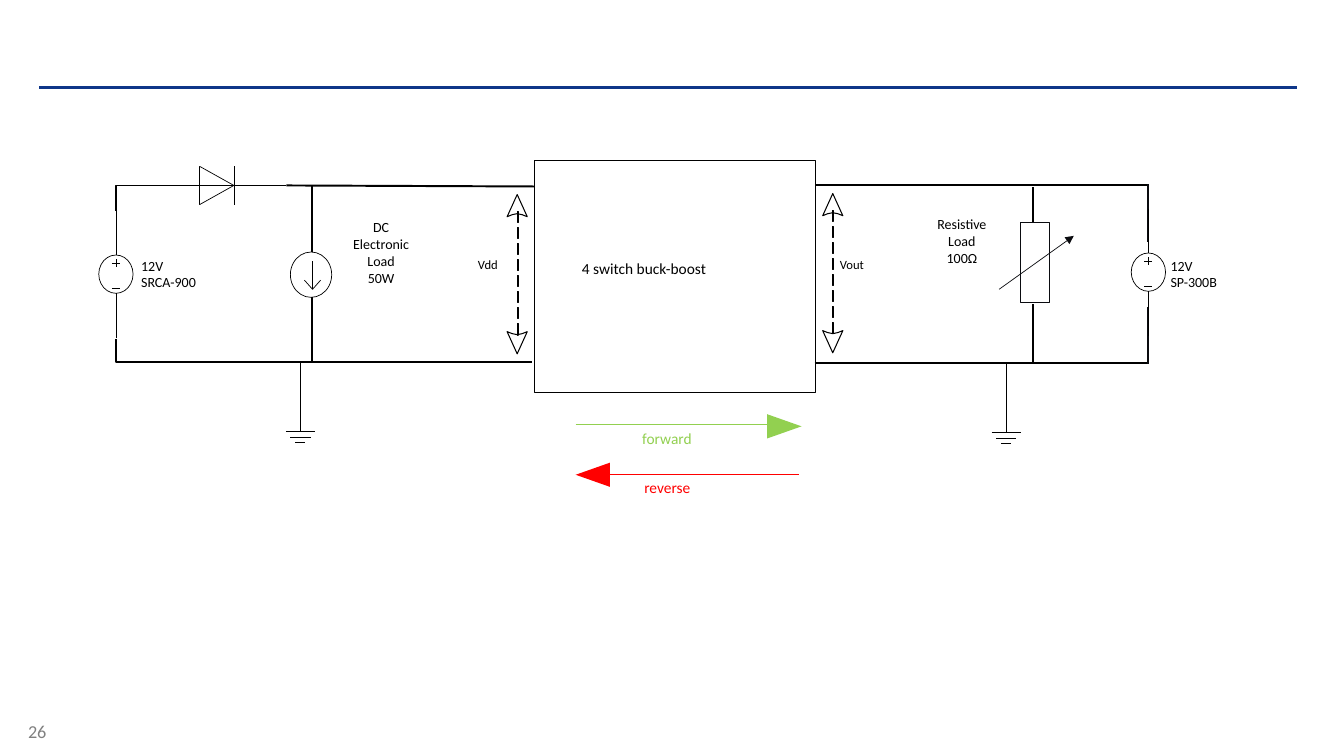
from typing import NamedTuple

from lxml import etree
from pptx import Presentation, util as u
from pptx.dml.color import RGBColor
from pptx.enum import shapes, text
from pptx.oxml.ns import qn

Point = tuple[float, float]
Path = list[Point]

BLACK, INK, NAVY, GREY = "000000", "0A0B0F", "0E3689", "808080"
GREEN, RED = "92D050", "FF0000"
THIN, WIRE = 0.5, 1.38


class Label(NamedTuple):
    left: float
    top: float
    width: float
    height: float
    lines: list[str]
    size: float = 10
    color: str = BLACK
    centered: bool = False
    inset: float = 0


class Wire(NamedTuple):
    start: Point
    end: Point
    width: float = WIRE
    color: str = BLACK
    arrow: bool = False


presentation = Presentation()
presentation.slide_width = u.Inches(13.33)
presentation.slide_height = u.Inches(7.5)
slide = presentation.slides.add_slide(presentation.slide_layouts[6])


def rgb(color: str) -> RGBColor:
    return RGBColor.from_string(color)


def draw_wire(wire: Wire) -> None:
    line = slide.shapes.add_connector(
        shapes.MSO_CONNECTOR.STRAIGHT, *map(u.Inches, wire.start + wire.end))
    line.line.color.rgb = rgb(wire.color)
    line.line.width = u.Pt(wire.width)
    if wire.arrow:
        etree.SubElement(line.line._get_or_add_ln(), qn("a:tailEnd"), type="triangle")
    etree.SubElement(line._element.spPr, qn("a:effectLst"))


def finish(shape, width: float, color: str = BLACK, fill: str = "") -> None:
    """Give an outline, or a plain fill without outline when one is named."""
    shape.shadow.inherit = False
    if fill:
        shape.fill.solid()
        shape.fill.fore_color.rgb = rgb(fill)
        shape.line.fill.background()
    else:
        shape.fill.background()
        shape.line.color.rgb = rgb(color)
        shape.line.width = u.Pt(width)


def draw_outline(paths: list[Path], width: float = THIN, closed: bool = False,
                 fill: str = "") -> None:
    """Draw several pen strokes as one freeform."""
    points = [[(u.Inches(x), u.Inches(y)) for x, y in path] for path in paths]
    builder = slide.shapes.build_freeform(*points[0][0])
    for index, (first, *rest) in enumerate(points):
        if index:
            builder.move_to(*first)
        builder.add_line_segments(rest, close=closed)
    finish(builder.convert_to_shape(), width, fill=fill)


def draw_preset(kind, left: float, top: float, width: float, height: float,
                line_width: float = THIN, color: str = BLACK) -> None:
    shape = slide.shapes.add_shape(kind, *map(u.Inches, (left, top, width, height)))
    finish(shape, line_width, color)


def draw_label(label: Label) -> None:
    box = slide.shapes.add_textbox(*map(u.Inches, label[:4]))
    frame = box.text_frame
    frame.word_wrap = True
    frame.margin_left = frame.margin_right = u.Inches(label.inset)
    frame.margin_top = frame.margin_bottom = u.Inches(label.inset / 2)
    frame.text = "\n".join(label.lines)
    for paragraph in frame.paragraphs:
        paragraph.font.name = "Calibri"
        paragraph.font.size = u.Pt(label.size)
        paragraph.font.color.rgb = rgb(label.color)
        if label.centered:
            paragraph.alignment = text.PP_ALIGN.CENTER


def draw_voltage_source(x: float, top: float) -> None:
    draw_preset(shapes.MSO_SHAPE.OVAL, x - 0.17, top + 0.44, 0.34, 0.38)
    draw_outline([
        [(x, top), (x, top + 0.44)],
        [(x, top + 0.82), (x, top + 1.26)],
        [(x, top + 0.48), (x, top + 0.56)],
        [(x - 0.04, top + 0.52), (x + 0.04, top + 0.52)],
        [(x - 0.04, top + 0.77), (x + 0.04, top + 0.77)],
    ])


def draw_ground(x: float, top: float) -> None:
    bars = [(0.145, 0.69), (0.1, 0.75), (0.05, 0.8)]
    draw_outline([[(x, top), (x, top + 0.69)]]
                 + [[(x - half, top + y), (x + half, top + y)] for half, y in bars], 1)


def draw_voltage_span(x: float, top: float) -> None:
    """Draw a dashed double arrow with hollow, notched heads."""
    dash_tops = [top + 0.16 + 0.16 * index for index in range(8)]
    draw_outline([[(x - 0.005, y), (x + 0.005, y), (x + 0.005, y + 0.11),
                   (x - 0.005, y + 0.11)] for y in dash_tops], 0.13, closed=True)
    for tip, way in ((top, 1), (top + 1.58, -1)):
        head = [(0, 0), (0.1, 0.22), (0.05, 0.2), (0, 0.19), (-0.05, 0.2), (-0.1, 0.22)]
        draw_outline([[(x + dx, tip + way * dy) for dx, dy in head]], 0, closed=True)


def draw_direction(tip: float, y: float, tail: float, color: str, head_y: float) -> None:
    base = tip + (0.34 if tail > tip else -0.34)
    draw_wire(Wire((tail, y), (base, y), 1, color))
    draw_outline([[(base, head_y - 0.12), (tip, head_y), (base, head_y + 0.12)]],
                 closed=True, fill=color)


WIRES = [
    Wire((0.39, 0.87), (12.86, 0.87), 2, NAVY),
    Wire((1.46, 1.84), (2.84, 1.84), THIN),
    Wire((2.84, 1.84), (5.3, 1.85)),
    Wire((3.09, 1.85), (3.09, 2.5)),
    Wire((3.09, 2.95), (3.09, 3.58)),
    Wire((3.1, 2.59), (3.1, 2.87), THIN),
    Wire((8.09, 1.84), (11.38, 1.84)),
    Wire((8.08, 3.6), (11.39, 3.6)),
    Wire((10.25, 1.86), (10.25, 2.2)),
    Wire((10.25, 3.02), (10.25, 3.59)),
    Wire((11.39, 1.83), (11.39, 2.4), 1.5, INK),
    Wire((11.39, 3.05), (11.39, 3.61), 1.5, INK),
    Wire((9.91, 2.87), (10.65, 2.34), THIN, INK, arrow=True),
]

LABELS = [
    Label(0.18, 7.1, 0.59, 0.4, ["26"], 13, GREY, inset=0.1),
    Label(5.77, 2.57, 1.85, 0.3, ["4 switch buck-boost"], 11),
    Label(4.74, 2.55, 0.28, 0.15, ["Vdd"], 9),
    Label(8.33, 2.55, 0.73, 0.48, ["Vout"], 9),
    Label(1.4, 2.55, 0.7, 0.34, ["12V", "SRCA-900"]),
    Label(11.61, 2.55, 0.88, 0.34, ["12V", "SP-300B"]),
    Label(3.36, 2.17, 0.84, 1.09, ["DC", "Electronic", "Load", "50W"], centered=True),
    Label(9.17, 2.14, 0.74, 0.82, ["Resistive", "Load", "100Ω"], centered=True),
    Label(6.37, 4.26, 0.6, 0.19, ["forward"], 11, GREEN),
    Label(6.39, 4.74, 0.6, 0.19, ["reverse"], 11, RED),
]

converter, resistor = (5.3, 1.59, 2.79, 2.3), (10.12, 2.21, 0.29, 0.79)
current_load = (2.88, 2.5, 0.41, 0.45)
diode = [[(2.32, 1.65), (2.32, 2.03)],
         [(1.98, 2.03), (2.32, 1.84), (1.98, 1.65), (1.98, 2.03)]]

draw_preset(shapes.MSO_SHAPE.RECTANGLE, *converter)
draw_preset(shapes.MSO_SHAPE.RECTANGLE, *resistor, 1, INK)
draw_preset(shapes.MSO_SHAPE.OVAL, *current_load)
draw_outline([[(3.02, 2.78), (3.1, 2.87), (3.18, 2.78)]])
draw_outline(diode)
draw_outline([[(1.15, 2.09), (1.15, 1.84), (1.46, 1.84)]], WIRE)
draw_outline([[(1.15, 3.36), (1.15, 3.59), (5.28, 3.59)]], WIRE)
for wire in WIRES:
    draw_wire(wire)
for x, top in ((1.15, 2.09), (11.39, 2.07)):
    draw_voltage_source(x, top)
for x, top in ((2.98, 3.59), (9.98, 3.6)):
    draw_ground(x, top)
for x, top in ((5.13, 1.93), (8.26, 1.92)):
    draw_voltage_span(x, top)
draw_direction(7.95, 4.21, 5.71, GREEN, 4.23)
draw_direction(5.71, 4.71, 7.92, RED, 4.71)
for label in LABELS:
    draw_label(label)

presentation.save("out.pptx")
